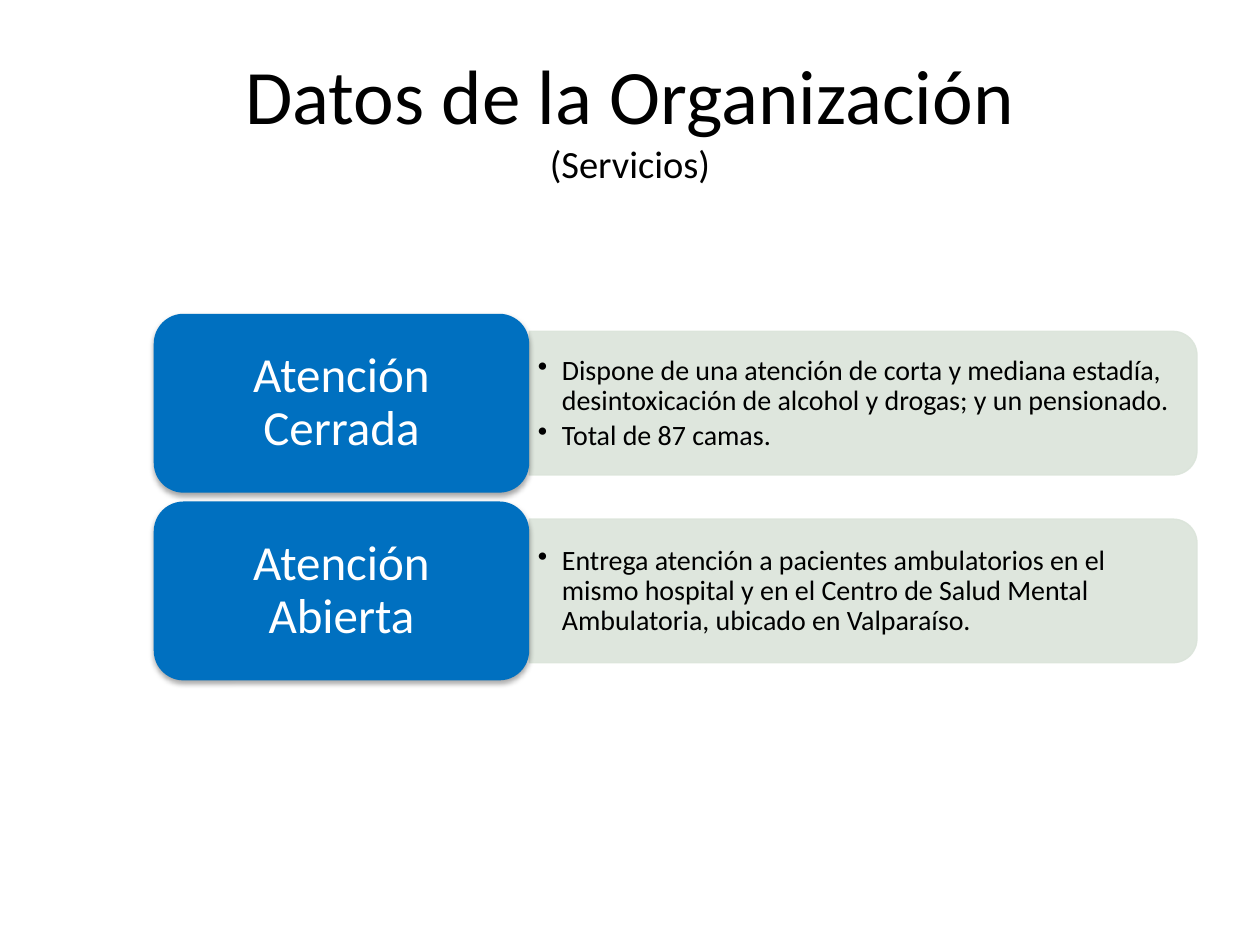
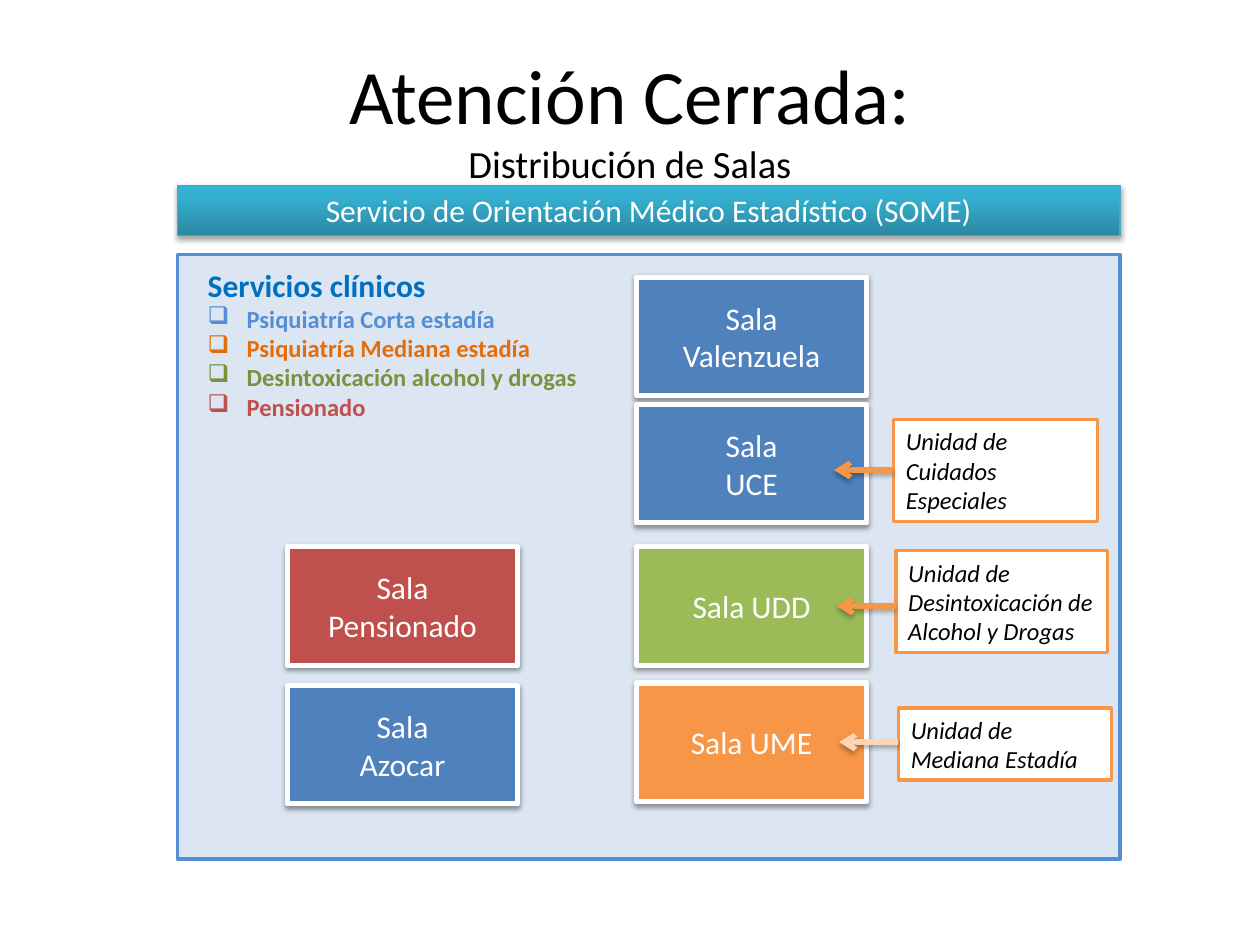
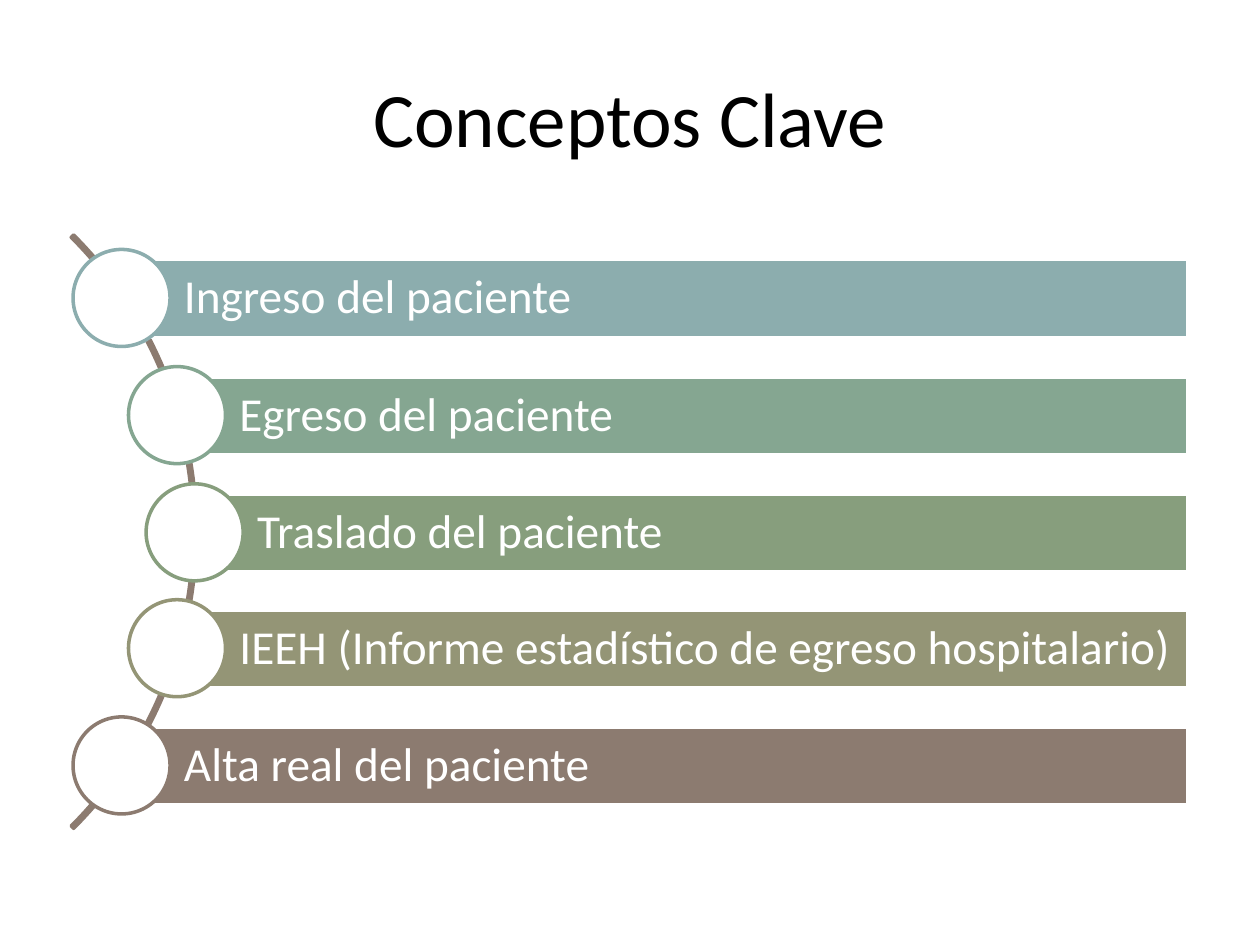
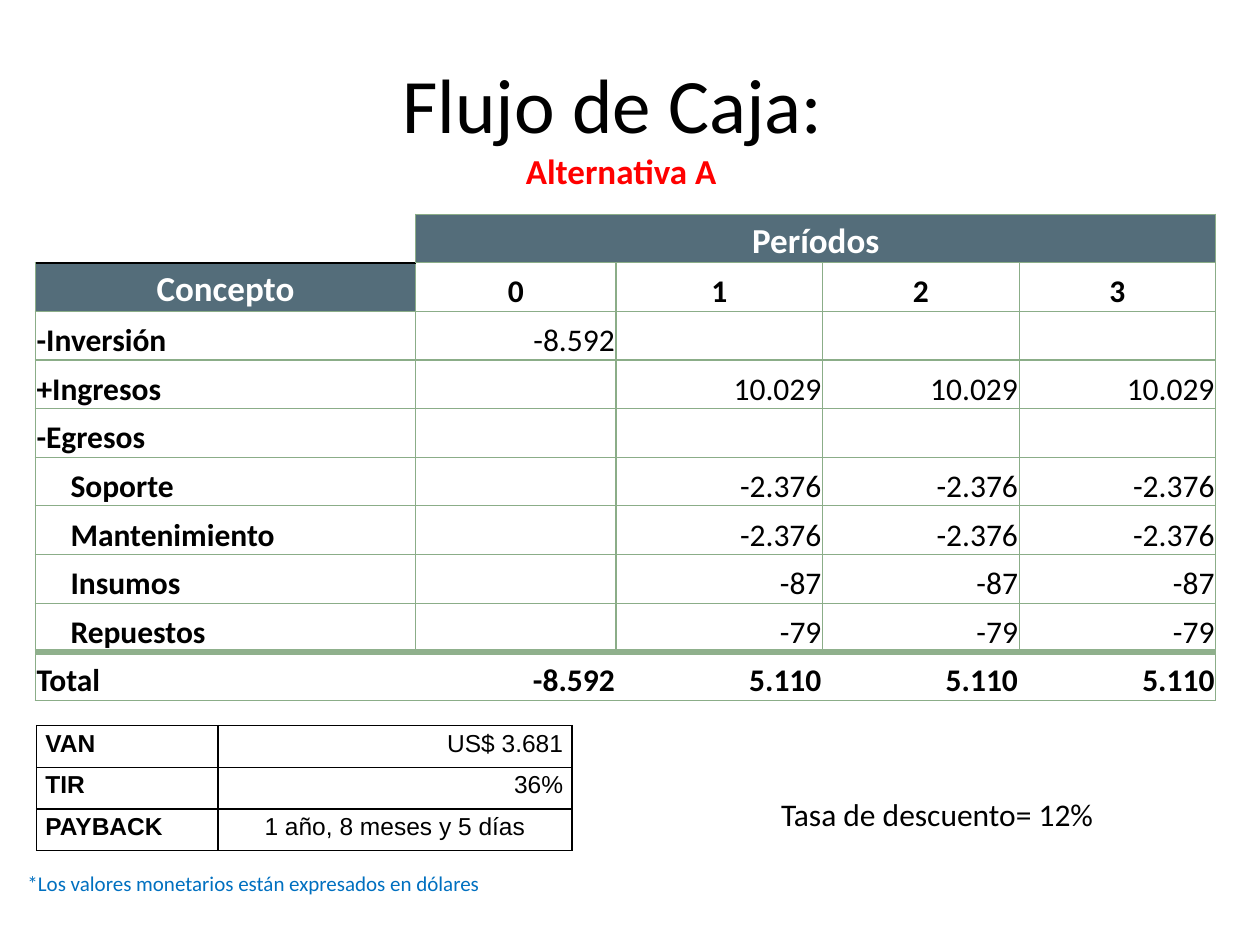
"""Build four slides on the services, wards, key concepts and cash flow of a hospital."""
import copy
from dataclasses import dataclass, replace
from typing import NamedTuple, Optional

from lxml import etree
from pptx import Presentation
from pptx import slide as s
from pptx import table as tb
from pptx import util as u
from pptx.dml.color import RGBColor
from pptx.enum import shapes, text
from pptx.oxml import ns
from pptx.oxml import parse_xml

SCALE = 9144
KIND = shapes.MSO_SHAPE
ALIGN = text.PP_ALIGN
ANCHOR = text.MSO_ANCHOR


@dataclass(frozen=True)
class Theme:
    """Colours, fonts and type sizes shared by the slides."""
    font: str = "Calibri"
    data_font: str = "Arial"
    black: str = "000000"
    white: str = "FFFFFF"
    red: str = "FF0000"
    accent: str = "0070C0"
    mist: str = "DBE4DA"
    panel: str = "DCE6F2"
    sky: str = "558ED5"
    blue: str = "4F81BD"
    green: str = "9BBB59"
    orange: str = "F79646"
    peach: str = "FCD5B5"
    brick: str = "C0504D"
    rust: str = "E46C0A"
    olive: str = "77933C"
    teal: str = "46AAC5"
    slate: str = "546D7A"
    grid: str = "8BAD88"
    total_rule: str = "8FB08C"
    steps: tuple[str, ...] = ("8CADAE", "85A691", "879E7D", "949576", "8C7B70")
    banner: tuple[tuple[float, str], ...] = ((0, "2A88A2"), (0.8, "37B1D2"), (1, "34B4D6"))
    title: float = 44
    subtitle: float = 22
    heading: float = 28
    step: float = 27
    emphasis: float = 20
    body: float = 18
    detail: float = 16
    small: float = 14
    note: float = 12


THEME = Theme()


class Box(NamedTuple):
    """A frame in px."""
    left: int
    top: int
    width: int
    height: int

    def emu(self) -> list[int]:
        """Return the frame in EMU."""
        return [value * SCALE for value in self]


class Insets(NamedTuple):
    """Inner margins in px."""
    left: int = 10
    top: int = 5
    right: int = 10
    bottom: int = 5


class Rule(NamedTuple):
    """A line with its colour and its width in points."""
    color: str
    width: float


class Shadow(NamedTuple):
    """A soft shadow below a shape, in points and percent."""
    alpha: int = 35
    blur: float = 3.1
    distance: float = 1.8


@dataclass(frozen=True)
class Style:
    """The look of a paragraph."""
    size: float
    color: str = THEME.black
    bold: bool = False
    italic: bool = False
    align: ALIGN = ALIGN.LEFT
    font: str = THEME.font
    spacing: Optional[float] = None
    after: float = 0
    bullet: str = ""
    indent: int = 0


class Service(NamedTuple):
    """A kind of care and what it offers."""
    name: str
    details: str


class Ward(NamedTuple):
    """A ward card on the floor plan."""
    name: str
    left: int
    top: int
    color: str


class Callout(NamedTuple):
    """A note on a ward with the height of its arrow."""
    label: str
    box: Box
    arrow_y: int
    color: str


def rgb(color: str) -> RGBColor:
    """Turn a hex colour into an RGB colour."""
    return RGBColor.from_string(color)


def sub(parent: etree._Element, tag: str, **attributes: object) -> etree._Element:
    """Add a drawing element to a parent."""
    values = {key: str(value) for key, value in attributes.items()}
    return etree.SubElement(parent, ns.qn(f"a:{tag}"), values)


def format_run(span, style: Style) -> None:
    """Give a run its font."""
    span.font.name = style.font
    span.font.size = u.Pt(style.size)
    span.font.bold = style.bold
    span.font.italic = style.italic
    span.font.color.rgb = rgb(style.color)


def format_paragraph(para, style: Style) -> None:
    """Give a paragraph its bullet, spacing and font."""
    if style.bullet:
        properties = para._p.get_or_add_pPr()
        properties.set("marL", str(style.indent * SCALE))
        properties.set("indent", str(-style.indent * SCALE))
        sub(properties, "buChar", char=style.bullet)
    para.alignment = style.align
    if style.spacing:
        para.line_spacing = style.spacing
    if style.after:
        para.space_after = u.Pt(style.after)
    for span in para.runs:
        format_run(span, style)


def write(frame, words: str, *styles: Style) -> None:
    """Fill a text frame, one paragraph a line, repeating the last style."""
    frame.text = words
    for index, para in enumerate(frame.paragraphs):
        format_paragraph(para, styles[min(index, len(styles) - 1)])


def set_frame(frame, insets: Insets, anchor: ANCHOR) -> None:
    """Set wrapping, margins and anchor of a text frame."""
    frame.word_wrap = True
    frame.vertical_anchor = anchor
    frame.margin_left, frame.margin_top, frame.margin_right, frame.margin_bottom = (
        value * SCALE for value in insets)


def add_text(page: s.Slide, box: Box, words: str, *styles: Style,
             insets: Insets = Insets(), anchor: ANCHOR = ANCHOR.TOP):
    """Draw a text box."""
    shape = page.shapes.add_textbox(*box.emu())
    set_frame(shape.text_frame, insets, anchor)
    write(shape.text_frame, words, *styles)
    return shape


def cast_shadow(effects: etree._Element, shadow: Shadow) -> None:
    """Add a downward shadow to an effect list."""
    outer = sub(effects, "outerShdw", blurRad=u.Pt(shadow.blur), dist=u.Pt(shadow.distance),
                dir=5400000, rotWithShape=0)
    sub(sub(outer, "srgbClr", val=THEME.black), "alpha", val=shadow.alpha * 1000)


def add_box(page: s.Slide, kind: KIND, box: Box, fill: str = "", line: Optional[Rule] = None,
            shadow: Optional[Shadow] = None, words: str = "", style: Optional[Style] = None,
            insets: Insets = Insets()):
    """Draw a preset shape, with centred text if any."""
    shape = page.shapes.add_shape(kind, *box.emu())
    shape.shadow.inherit = False
    if shadow:
        cast_shadow(shape.element.spPr.find(ns.qn("a:effectLst")), shadow)
    if fill:
        shape.fill.solid()
        shape.fill.fore_color.rgb = rgb(fill)
    else:
        shape.fill.background()
    if line:
        shape.line.color.rgb = rgb(line.color)
        shape.line.width = u.Pt(line.width)
    else:
        shape.line.fill.background()
    if words:
        set_frame(shape.text_frame, insets, ANCHOR.MIDDLE)
        write(shape.text_frame, words, style)
    return shape


def add_arrow(page: s.Slide, start: int, end: int, y: int, rule: Rule) -> None:
    """Draw a level arrow with a shadow."""
    arrow = page.shapes.add_connector(
        shapes.MSO_CONNECTOR.STRAIGHT, start * SCALE, y * SCALE, end * SCALE, y * SCALE)
    arrow.line.color.rgb = rgb(rule.color)
    arrow.line.width = u.Pt(rule.width)
    sub(arrow.line._get_or_add_ln(), "tailEnd", type="arrow")
    cast_shadow(sub(arrow.element.spPr, "effectLst"), Shadow())


def add_title(page: s.Slide, title: str, subtitle: str = "",
              sub_style: Style = Style(THEME.subtitle), box: Box = Box(50, 30, 900, 125)) -> None:
    """Draw the centred title with an optional second line."""
    words = f"{title}\v{subtitle}" if subtitle else title
    shape = add_text(page, box, words, Style(THEME.title, align=ALIGN.CENTER),
                     anchor=ANCHOR.MIDDLE)
    if subtitle:
        format_run(shape.text_frame.paragraphs[0].runs[-1], sub_style)


def add_grid(page: s.Slide, box: Box, widths: list[int], count: int) -> tb.Table:
    """Draw a plain table of equal rows."""
    table = page.shapes.add_table(count, len(widths), *box.emu()).table
    table.first_row = table.horz_banding = False
    for column, width in zip(table.columns, widths):
        column.width = width * SCALE
    return table


def dress_cell(cell, words: str, style: Style, insets: Insets, anchor: ANCHOR,
               borders: dict[str, Rule], fill: str = "") -> None:
    """Set text, margins, borders and fill of a cell."""
    write(cell.text_frame, words, style)
    cell.vertical_anchor = anchor
    cell.margin_left, cell.margin_top, cell.margin_right, cell.margin_bottom = (
        value * SCALE for value in insets)
    properties = cell._tc.get_or_add_tcPr()
    for side in "LRTB":
        rule = borders.get(side)
        edge = sub(properties, f"ln{side}", w=u.Pt(rule.width) if rule else 0)
        if rule:
            sub(sub(edge, "solidFill"), "srgbClr", val=rule.color)
        else:
            sub(edge, "noFill")
    if fill:
        cell.fill.solid()
        cell.fill.fore_color.rgb = rgb(fill)
    else:
        cell.fill.background()


def build_services(page: s.Slide) -> None:
    """Show the two kinds of care."""
    add_title(page, "Datos de la Organización", "(Servicios)")
    services = [
        Service("Atención Cerrada",
                "Dispone de una atención de corta y mediana estadía, desintoxicación de alcohol "
                "y drogas; y un pensionado.\nTotal de 87 camas."),
        Service("Atención Abierta",
                "Entrega atención a pacientes ambulatorios en el mismo hospital y en el Centro "
                "de Salud Mental Ambulatoria, ubicado en Valparaíso."),
    ]
    name_style = Style(THEME.heading, THEME.white, align=ALIGN.CENTER, spacing=0.9)
    detail_style = Style(THEME.detail, spacing=0.9, after=2.4, bullet="•", indent=19)
    for index, service in enumerate(services):
        top = 249 + index * 149
        strip = add_box(page, KIND.ROUND_2_SAME_RECTANGLE, Box(628, top - 194, 114, 530),
                        THEME.mist, Rule(THEME.mist, 0.75))
        strip.rotation = 90
        for color in strip.element.spPr.iter(ns.qn("a:srgbClr")):
            sub(color, "alpha", val=90000)
        add_text(page, Box(420, top + 20, 524, 103), service.details, detail_style,
                 insets=Insets(7, 3, 7, 3), anchor=ANCHOR.MIDDLE)
        add_box(page, KIND.ROUNDED_RECTANGLE, Box(122, top, 298, 142), THEME.accent,
                shadow=Shadow(), words=service.name, style=name_style,
                insets=Insets(19, 13, 19, 13))


def build_wards(page: s.Slide) -> None:
    """Show the floor plan of the wards."""
    add_title(page, "Atención Cerrada:", "Distribución de Salas")
    add_box(page, KIND.RECTANGLE, Box(141, 202, 748, 480), THEME.panel, Rule(THEME.sky, 2))

    label = Style(THEME.body, THEME.white, align=ALIGN.CENTER)
    banner = add_box(page, KIND.RECTANGLE, Box(141, 147, 748, 40), THEME.teal,
                     Rule(THEME.teal, 0.75), Shadow(),
                     "Servicio de Orientación Médico Estadístico (SOME)", label)
    banner.fill.gradient()
    banner.fill.gradient_angle = 90
    stops = banner.element.spPr.find(f".//{ns.qn('a:gsLst')}")
    stops.append(copy.deepcopy(stops[-1]))
    for stop, (position, color) in zip(banner.fill.gradient_stops, THEME.banner):
        stop.position = position
        stop.color.rgb = rgb(color)

    item = Style(THEME.small, bold=True, bullet="❑", indent=31)
    item_colors = (THEME.sky, THEME.rust, THEME.olive, THEME.brick)
    add_text(page, Box(155, 206, 350, 135),
             "Servicios clínicos\nPsiquiatría Corta estadía\nPsiquiatría Mediana estadía\n"
             "Desintoxicación alcohol y drogas\nPensionado",
             Style(THEME.body, THEME.accent, bold=True),
             *(replace(item, color=color) for color in item_colors))

    wards = [
        Ward("Sala Valenzuela", 505, 220, THEME.blue),
        Ward("Sala UDD", 505, 434, THEME.green),
        Ward("Sala UME", 505, 542, THEME.orange),
        Ward("Sala\nUCE", 505, 321, THEME.blue),
        Ward("Sala\nAzocar", 228, 544, THEME.blue),
        Ward("Sala\nPensionado", 228, 434, THEME.brick),
    ]
    for ward in wards:
        add_box(page, KIND.RECTANGLE, Box(ward.left, ward.top, 183, 94), ward.color,
                Rule(THEME.white, 3), Shadow(38, 3.1, 1.6), ward.name, label,
                Insets(20, 5, 20, 5))

    callouts = [
        Callout("Unidad de Mediana Estadía", Box(713, 562, 169, 57), 589, THEME.peach),
        Callout("Unidad de Desintoxicación de Alcohol y Drogas", Box(711, 437, 168, 81), 481,
                THEME.orange),
        Callout("Unidad de Cuidados Especiales", Box(709, 333, 162, 81), 373, THEME.orange),
    ]
    for callout in callouts:
        add_box(page, KIND.RECTANGLE, callout.box, THEME.white, Rule(THEME.orange, 2),
                words=callout.label, style=Style(THEME.small, italic=True))
        add_arrow(page, callout.box.left, callout.box.left - 47, callout.arrow_y,
                  Rule(callout.color, 3))


def build_concepts(page: s.Slide) -> None:
    """Show the five key concepts along an arc."""
    add_title(page, "Conceptos Clave")
    arc = add_box(page, KIND.BLOCK_ARC, Box(-510, 89, 666, 666), line=Rule(THEME.steps[-1], 2))
    for index, value in enumerate((189, 27, 0.004)):
        arc.adjustments[index] = value
    concepts = ["Ingreso del paciente", "Egreso del paciente", "Traslado del paciente",
                "IEEH (Informe estadístico de egreso hospitalario)", "Alta real del paciente"]
    lefts = (97, 141, 155, 141, 97)
    style = Style(THEME.step, THEME.white, spacing=0.9)
    for index, (concept, left, color) in enumerate(zip(concepts, lefts, THEME.steps)):
        top = round(206 + index * 92.75)
        add_box(page, KIND.RECTANGLE, Box(left, top, 943 - left, 62), color,
                Rule(THEME.white, 2), words=concept, style=style, insets=Insets(49, 7, 7, 7))
        add_box(page, KIND.OVAL, Box(left - 39, top - 8, 77, 77), THEME.white, Rule(color, 2))


def add_indicators(page: s.Slide) -> None:
    """Draw the table of investment indicators."""
    indicators = [("VAN", "US$ 3.681", ALIGN.RIGHT), ("TIR", "36%", ALIGN.RIGHT),
                  ("PAYBACK", "1 año, 8 meses y 5 días", ALIGN.CENTER)]
    table = add_grid(page, Box(29, 576, 425, 99), [144, 281], len(indicators))
    borders = dict.fromkeys("LRTB", Rule(THEME.black, 1))
    style = Style(THEME.small, font=THEME.data_font, spacing=1.15)
    for row, (name, value, align) in enumerate(indicators):
        for column, (words, look) in enumerate(
                [(name, replace(style, bold=True)), (value, replace(style, align=align))]):
            dress_cell(table.cell(row, column), words, look, Insets(7, 0, 7, 0), ANCHOR.TOP,
                       borders)


def add_cash_flow(page: s.Slide) -> None:
    """Draw the cash flow table by period."""
    yearly = {"+Ingresos": "10.029", "-Egresos": "", "Soporte": "-2.376",
              "Mantenimiento": "-2.376", "Insumos": "-87", "Repuestos": "-79"}
    rows = [["", "Períodos", "", "", ""],
            ["Concepto", "0", "1", "2", "3"],
            ["-Inversión", "-8.592", "", "", ""],
            *([name, "", *[value] * 3] for name, value in yearly.items()),
            ["Total", "-8.592", *["5.110"] * 3]]
    details = ("Soporte", "Mantenimiento", "Insumos", "Repuestos")
    table = add_grid(page, Box(28, 170, 937, 386), [302, 159, 164, 156, 156], len(rows))
    last = len(rows) - 1
    edge, thick, black = Rule(THEME.grid, 0.75), Rule(THEME.total_rule, 4), Rule(THEME.black, 1)
    header = Style(THEME.emphasis, THEME.white, bold=True, align=ALIGN.CENTER)
    for row, values in enumerate(rows):
        for column, words in enumerate(values):
            borders = dict.fromkeys("LRTB", edge)
            fill = ""
            if row == 0 or (row, column) == (1, 0):
                style, fill = header, THEME.slate
            else:
                align = ALIGN.CENTER if row == 1 else ALIGN.RIGHT if column else ALIGN.LEFT
                bold = column == 0 or row in (1, last)
                style = Style(THEME.body, bold=bold, align=align)
            if (row, column) == (0, 0):
                borders, fill = {"R": edge, "B": black}, THEME.white
            elif (row, column) == (1, 0):
                borders["T"] = black
            elif row == last - 1:
                borders["B"] = thick
            elif row == last:
                borders = {"T": thick, "B": edge}
                if column == 0:
                    borders["L"] = edge
                if column == len(values) - 1:
                    borders["R"] = edge
            left = 28 if words in details else 1
            dress_cell(table.cell(row, column), words, style, Insets(left, 1, 1, 0),
                       ANCHOR.BOTTOM, borders, fill)
    table.cell(0, 1).merge(table.cell(0, 4))


def build_cash_flow(page: s.Slide) -> None:
    """Show the cash flow of the first option."""
    add_title(page, "Flujo de Caja: ", "Alternativa A",
              Style(THEME.emphasis, THEME.red, bold=True), Box(43, 36, 900, 125))
    add_text(page, Box(12, 686, 583, 30), "*Los valores monetarios están expresados en dólares",
             Style(THEME.note, THEME.accent))
    add_text(page, Box(610, 626, 291, 40), "Tasa de descuento= 12%", Style(THEME.body))
    add_indicators(page)
    add_cash_flow(page)


def main() -> None:
    """Build and save the deck."""
    deck = Presentation()
    deck.slide_width, deck.slide_height = 1000 * SCALE, 750 * SCALE
    for build in (build_services, build_wards, build_concepts, build_cash_flow):
        build(deck.slides.add_slide(deck.slide_layouts[6]))
    deck.save("out.pptx")


if __name__ == "__main__":
    main()
